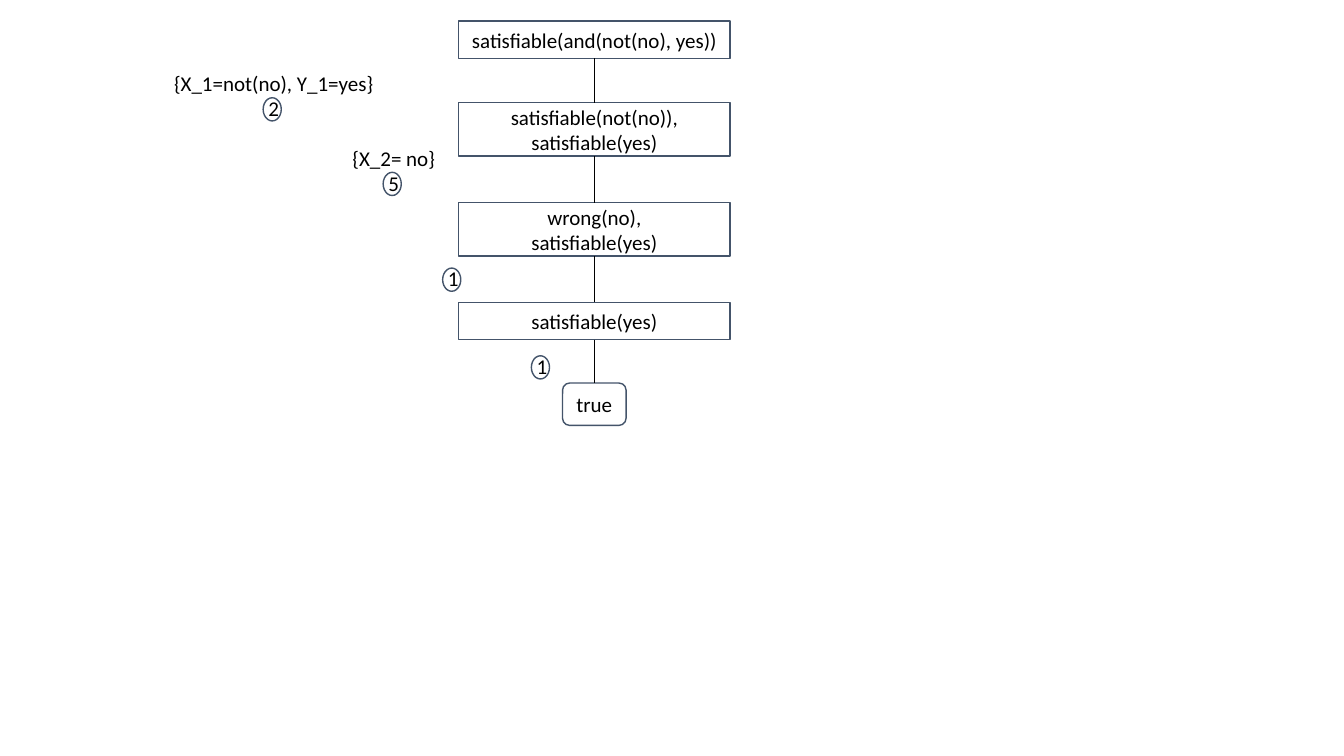
"""Build a slide with a derivation tree for a satisfiability query."""
from pptx import Presentation
from pptx.dml.color import RGBColor
from pptx.enum.shapes import MSO_CONNECTOR as CONN, MSO_SHAPE as SHAPE
from pptx.enum.text import MSO_ANCHOR as ANCHOR, PP_ALIGN as ALIGN
from pptx.oxml.ns import qn
from pptx.util import Inches, Pt
from lxml import etree

GOALS = [
    (["satisfiable(and(not(no), yes))"], SHAPE.RECTANGLE, (4.55, 0.21, 2.69, 0.37)),
    (["satisfiable(not(no)),", "satisfiable(yes)"], SHAPE.RECTANGLE, (4.55, 1.02, 2.69, 0.53)),
    (["wrong(no),", "satisfiable(yes)"], SHAPE.RECTANGLE, (4.55, 2.01, 2.69, 0.53)),
    (["satisfiable(yes)"], SHAPE.RECTANGLE, (4.55, 3.0, 2.69, 0.37)),
    (["true"], SHAPE.ROUNDED_RECTANGLE, (5.58, 3.8, 0.63, 0.42)),
]
STEPS = [
    (["{X_1=not(no), Y_1=yes}", "2"], 1.54, 0.67),
    (["{X_2= no}", "5"], 2.73, 1.41),
    (["1"], 3.32, 2.6),
    (["1"], 4.2, 3.47),
]
STEP_W, STEP_H = 2.35, {1: 0.32, 2: 0.56}
RING_W, RING_H, RING_DX, RING_GAP = 0.18, 0.23, 1.07, 0.03

BLACK = RGBColor(0x00, 0x00, 0x00)
SLATE = RGBColor(0x44, 0x54, 0x6A)
FONT = {"name": "Calibri", "size": Pt(15)}
FRAME = {"word_wrap": True, "vertical_anchor": ANCHOR.MIDDLE, "margin_left": 0,
         "margin_right": 0, "margin_top": 0, "margin_bottom": 0}


def apply(obj, values):
    for name, value in values.items():
        setattr(obj, name, value)


def write(sp, lines):
    tf = sp.text_frame
    apply(tf, FRAME)
    for i, line in enumerate(lines):
        p = tf.paragraphs[0] if i == 0 else tf.add_paragraph()
        p.alignment = ALIGN.CENTER
        r = p.add_run()
        r.text = line
        apply(r.font, FONT)
        r.font.color.rgb = BLACK


def add_outline(kind, box):
    sp = s.shapes.add_shape(kind, *map(Inches, box))
    sp.shadow.inherit = False
    sp.fill.background()
    sp.line.color.rgb = SLATE
    sp.line.width = Pt(1)
    return sp


def connect(upper, lower):
    line = s.shapes.add_connector(CONN.STRAIGHT, 0, 0, 0, 0)
    line.begin_connect(upper, 2)
    line.end_connect(lower, 0)
    line.line.color.rgb = BLACK
    line.line.width = Pt(0.5)
    etree.SubElement(line._element.spPr, qn("a:effectLst"))


prs = Presentation()
prs.slide_width, prs.slide_height = Inches(13.33), Inches(7.5)
s = prs.slides.add_slide(prs.slide_layouts[6])

goals = []
for lines, kind, box in GOALS:
    sp = add_outline(kind, box)
    write(sp, lines)
    goals.append(sp)

for upper, lower in zip(goals, goals[1:]):
    connect(upper, lower)

for lines, x, y in STEPS:
    h = STEP_H[len(lines)]
    write(s.shapes.add_textbox(*map(Inches, (x, y, STEP_W, h))), lines)
    add_outline(SHAPE.OVAL, (x + RING_DX, y + h - RING_GAP - RING_H, RING_W, RING_H))

prs.save("out.pptx")
